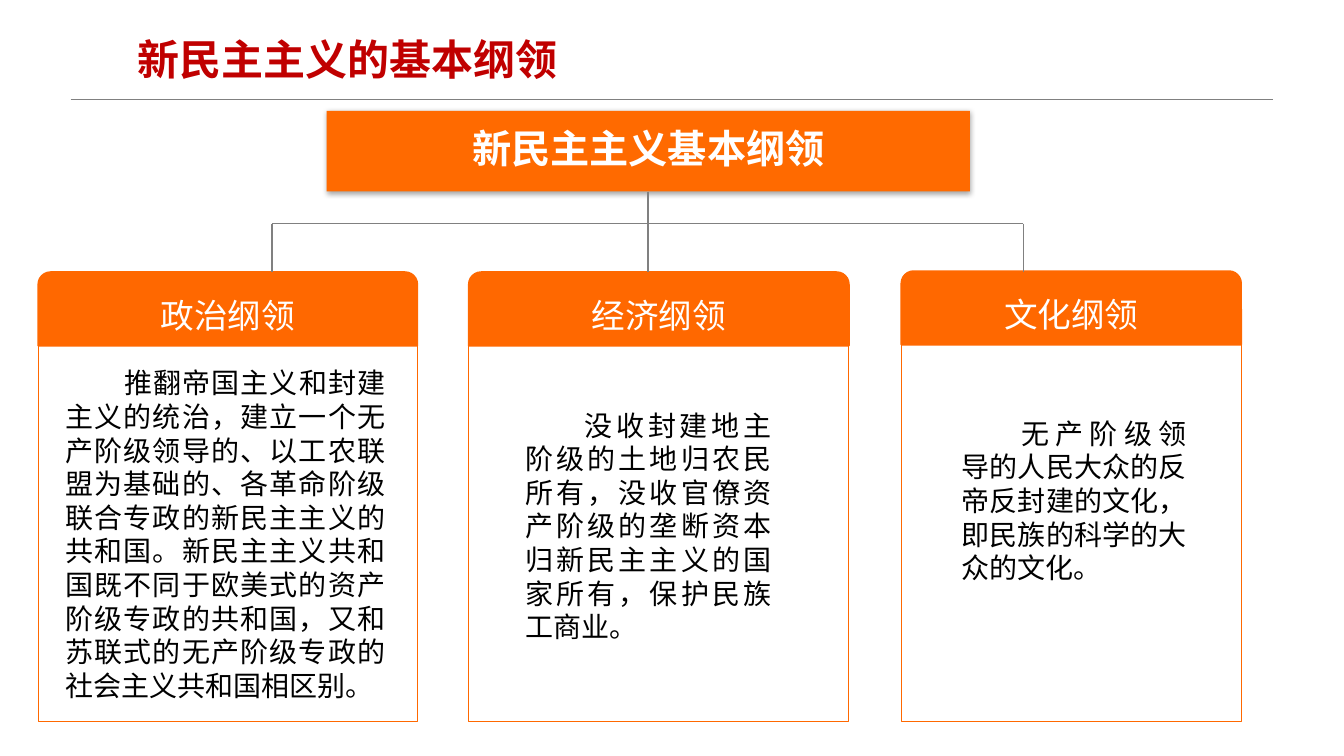
from lxml import etree
from pptx import Presentation
from pptx.dml.color import RGBColor
from pptx.enum.shapes import MSO_CONNECTOR, MSO_SHAPE
from pptx.enum.text import MSO_ANCHOR, MSO_AUTO_SIZE, PP_ALIGN
from pptx.oxml import parse_xml
from pptx.oxml.ns import nsdecls, qn
from pptx.util import Inches, Pt

RECT, ROUND_TOP = MSO_SHAPE.RECTANGLE, MSO_SHAPE.ROUND_2_SAME_RECTANGLE
STRAIGHT = MSO_CONNECTOR.STRAIGHT
MIDDLE, TOP = MSO_ANCHOR.MIDDLE, MSO_ANCHOR.TOP
CENTER, JUSTIFY = PP_ALIGN.CENTER, PP_ALIGN.JUSTIFY

COLORS = {"title": "C00000", "banner": "FF6A00", "orange": "FF6800",
          "white": "FFFFFF", "black": "000000", "gray": "808080"}

# heading, panel box, header top, body text box, body text
PROGRAMMES = [
    ("政治纲领", (0.38, 3.3, 3.76, 3.86), 2.7, (0.55, 3.58, 3.37, 3.47),
     "推翻帝国主义和封建主义的统治，建立一个无产阶级领导的、以工农联盟为基础的、"
     "各革命阶级联合专政的新民主主义的共和国。新民主主义共和国既不同于欧美式的资产"
     "阶级专政的共和国，又和苏联式的无产阶级专政的社会主义共和国相区别。"),
    ("经济纲领", (4.65, 3.3, 3.77, 3.86), 2.7, (5.11, 4, 2.64, 2.46),
     "没收封建地主阶级的土地归农民所有，没收官僚资产阶级的垄断资本归新民主主义的"
     "国家所有，保护民族工商业。"),
    ("文化纲领", (8.94, 3.3, 3.37, 3.86), 2.69, (9.44, 4.08, 2.43, 1.78),
     "无产阶级领导的人民大众的反帝反封建的文化，即民族的科学的大众的文化。"),
]


def rgb(name):
    return RGBColor.from_string(COLORS[name])


def inches(box):
    return [Inches(v) for v in box]


def write(shape, text, size, color, align, anchor, bold=False, inset=None):
    """Fill a shape with one formatted paragraph and return the paragraph."""
    tf = shape.text_frame
    tf.word_wrap = True
    tf.auto_size = MSO_AUTO_SIZE.NONE
    tf.vertical_anchor = anchor
    if inset is not None:
        tf.margin_left = tf.margin_right = Inches(inset)
        tf.margin_top = tf.margin_bottom = Inches(inset)
    p = tf.paragraphs[0]
    p.text = text
    p.alignment = align
    p.font.name, p.font.size, p.font.bold = "Arial", Pt(size), bold
    p.font.color.rgb = rgb(color)
    return p


def add_block(s, kind, box, fill, line=None, width=0.75):
    sp = s.shapes.add_shape(kind, *inches(box))
    sp.shadow.inherit = False
    sp.fill.solid()
    sp.fill.fore_color.rgb = rgb(fill)
    if line:
        sp.line.color.rgb = rgb(line)
        sp.line.width = Pt(width)
    else:
        sp.line.fill.background()
    return sp


def add_line(s, x1, y1, x2, y2, width):
    line = s.shapes.add_connector(STRAIGHT, *inches((x1, y1, x2, y2)))
    line.line.color.rgb = rgb("gray")
    line.line.width = Pt(width)
    etree.SubElement(line._element.spPr, qn("a:effectLst"))


def add_title(s, box, text):
    title = s.shapes.title
    title.left, title.top, title.width, title.height = inches(box)
    write(title, text, 30, "title", JUSTIFY, MIDDLE, bold=True)
    add_line(s, 0.7, 0.99, 12.63, 0.99, 0.5)


def add_banner(s, box, text):
    banner = add_block(s, RECT, box, "banner")
    p = write(banner, text, 28, "white", CENTER, MIDDLE, bold=True, inset=0.02)
    p.line_spacing = 0.9
    banner._element.spPr.find(qn("a:effectLst")).append(parse_xml(
        f'<a:outerShdw {nsdecls("a")} blurRad="50800" dist="12700" dir="5400000">'
        '<a:srgbClr val="000000"><a:alpha val="35000"/></a:srgbClr></a:outerShdw>'))


def add_programme(s, heading, box, header_top, text_box, text):
    """Draw an outlined panel with its rounded header and body text."""
    left, _, width, _ = box
    add_block(s, RECT, box, "white", "orange")
    header = add_block(s, ROUND_TOP, (left, header_top, width, 0.73),
                       "orange", "orange", 1.25)
    p = write(header, heading, 24, "white", CENTER, MIDDLE, inset=0.02)
    p.line_spacing = 1.2
    body = s.shapes.add_textbox(*inches(text_box))
    p = write(body, text, 20, "black", JUSTIFY, TOP)
    p._p.get_or_add_pPr().set("indent", str(Inches(0.59)))


def add_branches(s, top, bar, bottom, xs):
    """Draw the trunk from the banner, the crossbar and the outer drops."""
    first, trunk, last = xs
    add_line(s, trunk, top, trunk, bottom, 1.25)
    for x in (first, last):
        add_line(s, x, bar, x, bottom, 1.25)
    add_line(s, first, bar, last, bar, 0.75)


def main():
    prs = Presentation()
    prs.slide_width, prs.slide_height = Inches(13.33), Inches(7.5)
    s = prs.slides.add_slide(prs.slide_layouts[5])
    add_title(s, (1.26, 0.28, 9.4, 0.61), "新民主主义的基本纲领")
    add_banner(s, (3.24, 1.1, 6.38, 0.8), "新民主主义基本纲领")
    for programme in PROGRAMMES:
        add_programme(s, *programme)
    add_branches(s, 1.9, 2.22, 2.7, (2.7, 6.43, 10.15))
    prs.save("out.pptx")


if __name__ == "__main__":
    main()
